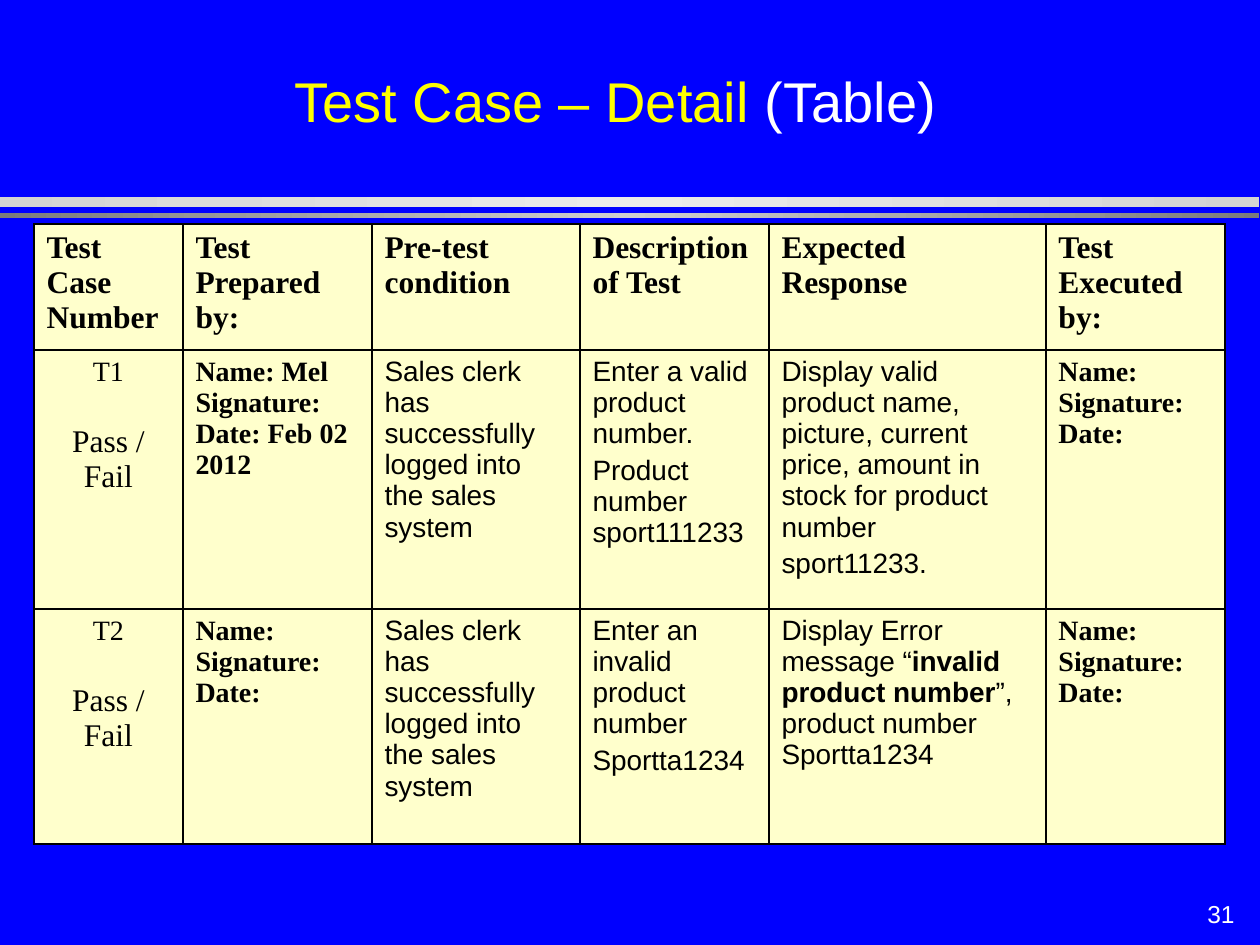
import copy

import lxml.etree
import pptx
import pptx.dml.color
import pptx.enum.shapes
import pptx.enum.text
import pptx.oxml.ns
import pptx.util

EMU_PER_PX = 914400 / 126
ALIGN = pptx.enum.text.PP_ALIGN
ANCHOR = pptx.enum.text.MSO_ANCHOR
SANS = "Arial"
SERIF = "Times New Roman"
YELLOW, WHITE, BLACK = "FFFF00", "FFFFFF", "000000"


def px(length):
    return pptx.util.Emu(round(length * EMU_PER_PX))


def color(value):
    return pptx.dml.color.RGBColor.from_string(value)


def run(text, size=16, font=SANS, bold=False, hue=BLACK):
    return text, size, font, bold, hue


def paragraph(*runs, align=ALIGN.LEFT, before=0):
    return runs, align, before


def heading(*lines):
    return [paragraph(run(line, 18, SERIF, True)) for line in lines]


def verdict(number):
    return [
        paragraph(run(number, 16, SERIF), align=ALIGN.CENTER),
        paragraph(run("Pass / Fail", 18, SERIF), align=ALIGN.CENTER, before=21),
    ]


def sign_off(name="", date=""):
    lines = [f"Name: {name}", "Signature:", f"Date: {date}"]
    return [paragraph(run(line.strip(), 16, SERIF, True)) for line in lines]


def prose(*lines):
    return [paragraph(run(line), before=3 if index else 0) for index, line in enumerate(lines)]


class SlideBuilder:
    cell_fill = "FFFFCC"
    border = BLACK
    border_width = pptx.util.Pt(1)

    def __init__(self, slide, background):
        self.slide = slide
        fill = slide.background.fill
        fill.solid()
        fill.fore_color.rgb = color(background)

    def add_paragraphs(self, frame, paragraphs):
        for index, (runs, align, before) in enumerate(paragraphs):
            para = frame.add_paragraph() if index else frame.paragraphs[0]
            para.alignment = align
            para.space_before = pptx.util.Pt(before)
            for text, size, font, bold, hue in runs:
                span = para.add_run()
                span.text = text
                span.font.size = pptx.util.Pt(size)
                span.font.name = font
                span.font.bold = bold
                span.font.color.rgb = color(hue)

    def text(self, left, top, width, height, content, anchor, wrap=True):
        box = self.slide.shapes.add_textbox(px(left), px(top), px(width), px(height))
        frame = box.text_frame
        frame.word_wrap = wrap
        frame.vertical_anchor = anchor
        self.add_paragraphs(frame, [content])

    def bar(self, top, height, edge, middle):
        shape = self.slide.shapes.add_shape(
            pptx.enum.shapes.MSO_SHAPE.RECTANGLE, 0, px(top), px(1259), px(height))
        shape.shadow.inherit = False
        shape.line.fill.background()
        shape.fill.gradient()
        shape.fill.gradient_angle = 0
        stops = shape._element.spPr.find(".//" + pptx.oxml.ns.qn("a:gsLst"))
        stops.insert(1, copy.deepcopy(stops[0]))
        for stop, position, hue in zip(shape.fill.gradient_stops, (0, 0.5, 1), (edge, middle, edge)):
            stop.position = position
            stop.color.rgb = color(hue)

    def outline(self, cell):
        properties = cell._tc.get_or_add_tcPr()
        for side in ("lnL", "lnR", "lnT", "lnB"):
            line = lxml.etree.SubElement(
                properties, pptx.oxml.ns.qn("a:" + side), w=str(self.border_width))
            solid = lxml.etree.SubElement(line, pptx.oxml.ns.qn("a:solidFill"))
            lxml.etree.SubElement(solid, pptx.oxml.ns.qn("a:srgbClr"), val=self.border)

    def table(self, left, top, widths, heights, rows):
        table = self.slide.shapes.add_table(
            len(heights), len(widths), px(left), px(top), px(sum(widths)), px(sum(heights))).table
        table.first_row = False
        table.horz_banding = False
        for column, width in zip(table.columns, widths):
            column.width = px(width)
        for row, height, contents in zip(table.rows, heights, rows):
            row.height = px(height)
            for cell, content in zip(row.cells, contents):
                self.outline(cell)
                cell.fill.solid()
                cell.fill.fore_color.rgb = color(self.cell_fill)
                self.add_paragraphs(cell.text_frame, content)


def main():
    deck = pptx.Presentation()
    deck.slide_width, deck.slide_height = px(1260), px(945)
    page = SlideBuilder(deck.slides.add_slide(deck.slide_layouts[6]), "0000FF")

    page.bar(197, 10, "D3D3D3", "EBEBEB")
    page.bar(213, 5, "7C7C7C", "CECECE")
    page.text(1193, 893, 54, 42, paragraph(run("31", 14, hue=WHITE), align=ALIGN.RIGHT),
              ANCHOR.MIDDLE, wrap=False)

    precondition = prose("Sales clerk has successfully logged into the sales system")
    rows = [
        [
            heading("Test Case", "Number"),
            heading("Test", "Prepared by:"),
            heading("Pre-test", "condition"),
            heading("Description", "of Test"),
            heading("Expected", "Response"),
            heading("Test", "Executed by:"),
        ],
        [
            verdict("T1"),
            sign_off("Mel", "Feb 02 2012"),
            precondition,
            prose("Enter a valid product number.", "Product number sport111233"),
            prose("Display valid product name, picture, current price, "
                  "amount in stock for product number", "sport11233."),
            sign_off(),
        ],
        [
            verdict("T2"),
            sign_off(),
            precondition,
            prose("Enter an invalid product number", "Sportta1234"),
            [paragraph(run("Display Error message “"),
                       run("invalid product number", bold=True),
                       run("”, product number Sportta1234"))],
            sign_off(),
        ],
    ]
    page.table(34, 224, [149, 189, 208, 189, 277, 179], [126, 259, 235], rows)

    title = paragraph(run("Test Case – Detail ", 32, hue=YELLOW), run("(Table)", 32, hue=WHITE))
    page.text(282, 26, 684, 114, title, ANCHOR.BOTTOM)
    deck.save("out.pptx")


if __name__ == "__main__":
    main()
